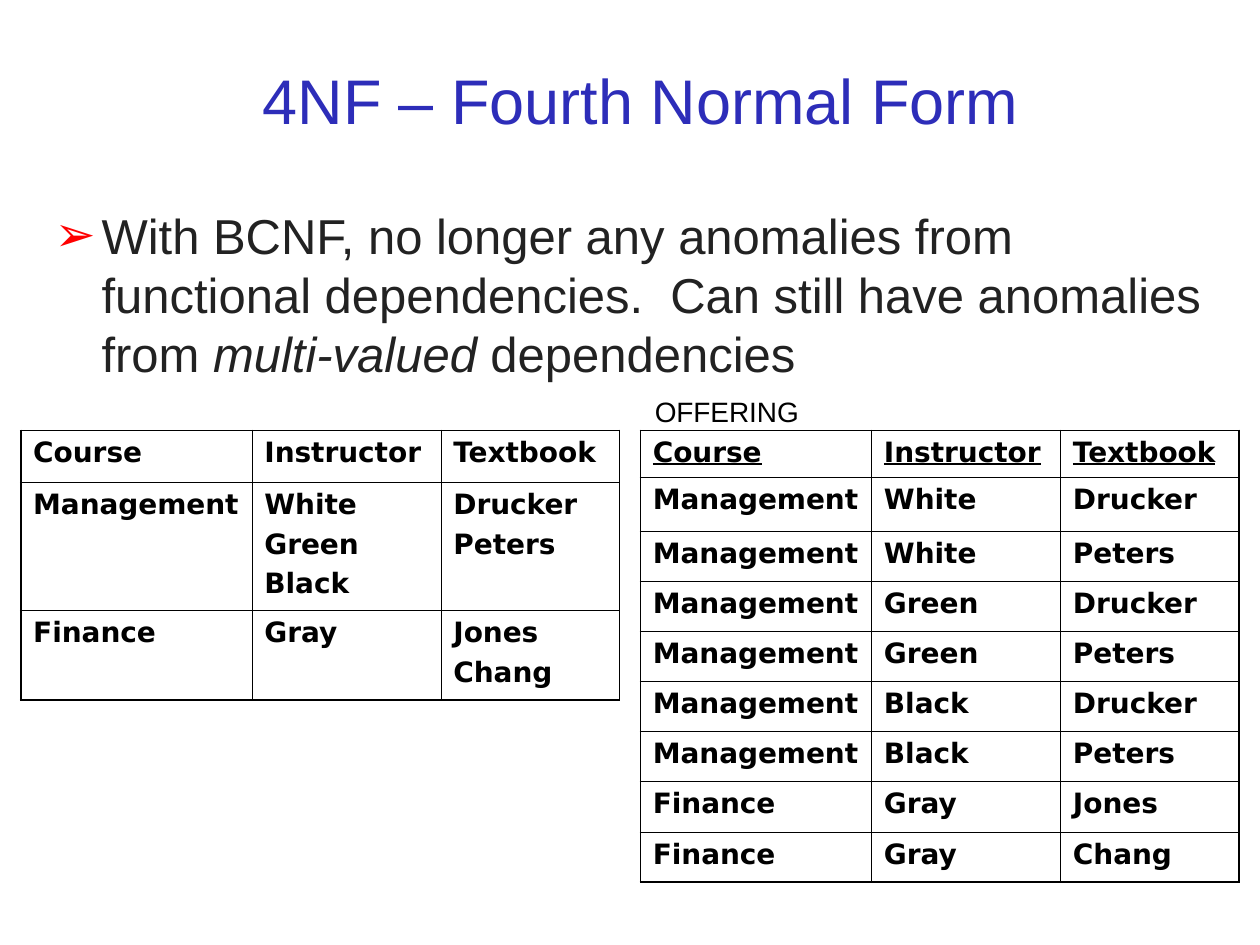
from dataclasses import dataclass
from itertools import product

from lxml import etree
from pptx import Presentation, util as u
from pptx.dml.color import RGBColor
from pptx.enum import text
from pptx.oxml.ns import qn


@dataclass(frozen=True)
class Theme:
    sans: str = "Arial"
    grid: str = "DejaVu Sans"
    blue: str = "2D2DB9"
    ink: str = "222222"
    black: str = "000000"
    red: str = "FF0000"
    head: int = 36
    body: int = 28
    small: int = 16
    thick: float = 1.08
    thin: float = 0.45


class Page:
    def __init__(self, slide, theme):
        self.slide = slide
        self.theme = theme

    def style(self, para, size, color, face):
        font = para.font
        font.size = u.Pt(size)
        font.name = face
        font.color.rgb = RGBColor.from_string(color)
        return font

    def paint(self, node, color):
        fill = etree.SubElement(node, qn("a:solidFill"))
        etree.SubElement(fill, qn("a:srgbClr"), val=color)

    def box(self, left, top, width, height):
        area = map(u.Cm, (left, top, width, height))
        frame = self.slide.shapes.add_textbox(*area).text_frame
        frame.word_wrap = True
        return frame

    def title(self, words, *area):
        frame = self.box(*area)
        frame.vertical_anchor = text.MSO_ANCHOR.MIDDLE
        para = frame.paragraphs[0]
        para.text = words
        para.alignment = text.PP_ALIGN.CENTER
        self.style(para, self.theme.head, self.theme.blue, self.theme.sans)

    def label(self, words, *area):
        para = self.box(*area).paragraphs[0]
        para.text = words
        self.style(para, self.theme.small, self.theme.black, self.theme.sans)

    def bullet(self, parts, *area):
        para = self.box(*area).paragraphs[0]
        props = para._p.get_or_add_pPr()
        hang = u.Cm(0.95)
        props.set("marL", str(hang))
        props.set("indent", str(-hang))
        tint = etree.SubElement(props, qn("a:buClr"))
        etree.SubElement(tint, qn("a:srgbClr"), val=self.theme.red)
        etree.SubElement(props, qn("a:buFont"), typeface=self.theme.sans)
        etree.SubElement(props, qn("a:buChar"), char="➢")
        self.style(para, self.theme.body, self.theme.ink, self.theme.sans)
        for words, slant in parts:
            run = para.add_run()
            run.text = words
            if slant:
                run.font.italic = True

    def border(self, cell, outer):
        props = cell._tc.get_or_add_tcPr()
        for side, edge in zip("LRTB", outer):
            width = u.Pt(self.theme.thick if edge else self.theme.thin)
            line = etree.SubElement(props, qn("a:ln" + side), w=str(width))
            self.paint(line, self.theme.black)

    def table(self, left, top, cols, rows, data, under=False):
        area = map(u.Cm, (left, top, sum(cols), sum(rows)))
        table = self.slide.shapes.add_table(len(rows), len(cols), *area).table
        table.first_row = table.horz_banding = False
        for col, width in zip(table.columns, cols):
            col.width = u.Cm(width)
        for row, height in zip(table.rows, rows):
            row.height = u.Cm(height)
        for r, c in product(range(len(rows)), range(len(cols))):
            cell = table.cell(r, c)
            cell.margin_left, cell.margin_right = u.Cm(0.25), u.Cm(0.2)
            self.border(cell, (c == 0, c == len(cols) - 1,
                               r == 0, r == len(rows) - 1))
            cell.fill.background()
            cell.text = data[r][c]
            for n, para in enumerate(cell.text_frame.paragraphs):
                if n:
                    para.space_before = u.Pt(4)
                font = self.style(para, self.theme.small, self.theme.black,
                                  self.theme.grid)
                font.bold = True
                if under and r == 0:
                    font.underline = True


def main():
    deck = Presentation()
    deck.slide_width, deck.slide_height = u.Cm(25.4), u.Cm(19.05)
    page = Page(deck.slides.add_slide(deck.slide_layouts[6]), Theme())

    page.title("4NF – Fourth Normal Form", 0.85, 0.42, 24.13, 3.18)
    page.bullet([
        ("With BCNF, no longer any anomalies from functional dependencies.  "
         "Can still have anomalies from ", False),
        ("multi-valued", True),
        (" dependencies", False),
    ], 0.85, 4.02, 23.7, 4.24)

    heads = ("Course", "Instructor", "Textbook")
    groups = [
        ("Management", ("White", "Green", "Black"), ("Drucker", "Peters")),
        ("Finance", ("Gray",), ("Jones", "Chang")),
    ]
    nested = [(course, "\n".join(staff), "\n".join(books))
              for course, staff, books in groups]
    flat = [row for course, staff, books in groups
            for row in product((course,), staff, books)]

    cols = (4.66, 3.81, 3.6)
    top = 8.68
    page.table(0.42, top, cols, (1.05, 2.58, 1.8), [heads] + nested)
    page.table(12.91, top, cols, [0.95, 1.08] + [1.01] * 7,
               [heads] + flat, under=True)
    page.label("OFFERING", 12.95, 7.83, 3.6, 0.94)
    deck.save("out.pptx")


if __name__ == "__main__":
    main()
